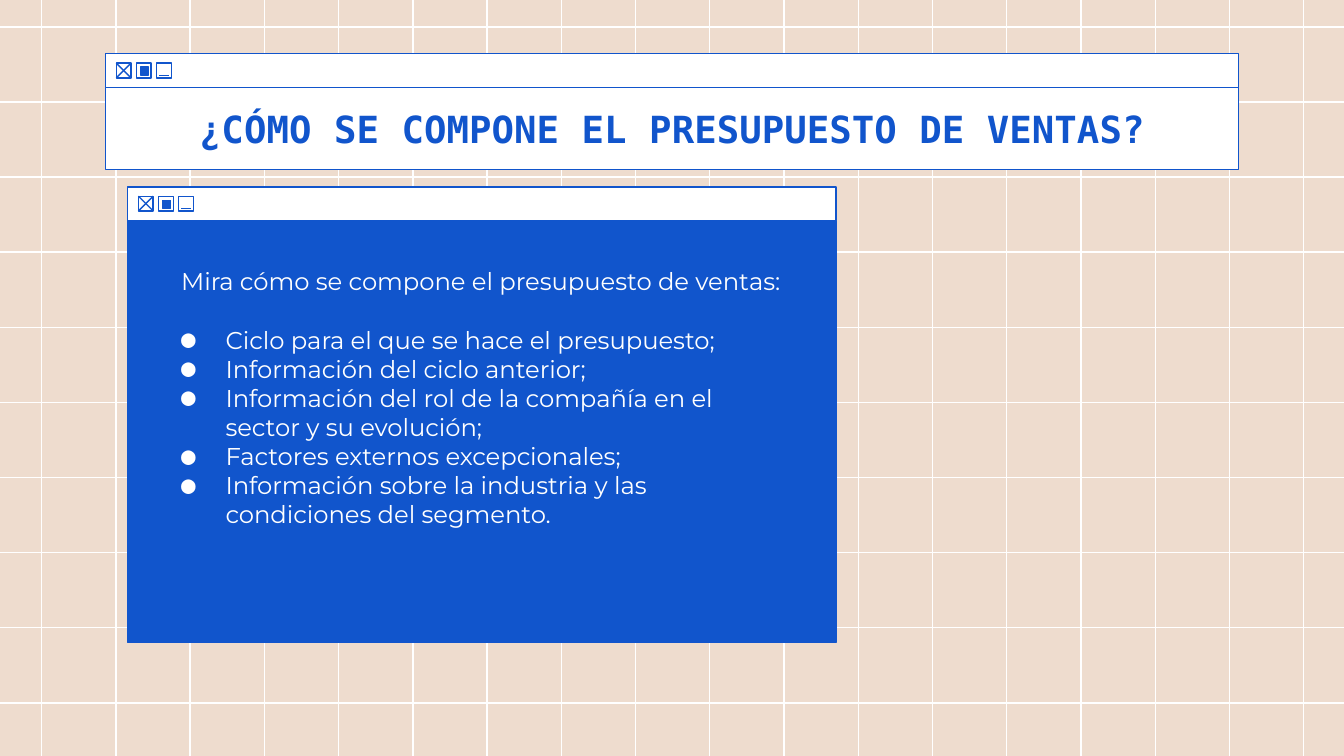
from dataclasses import dataclass

from lxml import etree
from pptx import Presentation
from pptx import util as u
from pptx.dml.color import RGBColor
from pptx.enum import shapes, text
from pptx.oxml.ns import qn


@dataclass(frozen=True)
class Theme:
    paper: RGBColor = RGBColor.from_string("EEDCCE")
    white: RGBColor = RGBColor.from_string("FFFFFF")
    blue: RGBColor = RGBColor.from_string("1155CC")
    title_font: str = "DejaVu Sans Mono"
    body_font: str = "Montserrat"
    bullet_font: str = "DejaVu Sans Mono"
    title_size: int = 20
    body_size: int = 13
    stroke: float = 0.75


THEME = Theme()
WIDTH = 10
HEIGHT = WIDTH * 9 / 16
BAR_HEIGHT = 0.25
TITLE = "¿CÓMO SE COMPONE EL PRESUPUESTO DE VENTAS?"
INTRO = "Mira cómo se compone el presupuesto de ventas:"
COMPONENTS = [
    "Ciclo para el que se hace el presupuesto;",
    "Información del ciclo anterior;",
    "Información del rol de la compañía en el sector y su evolución;",
    "Factores externos excepcionales;",
    "Información sobre la industria y las condiciones del segmento.",
]


def add_line(slide, x1, y1, x2, y2, color):
    line = slide.shapes.add_connector(
        shapes.MSO_CONNECTOR.STRAIGHT, *map(u.Inches, (x1, y1, x2, y2)))
    line.line.color.rgb = color
    line.line.width = u.Pt(THEME.stroke)
    etree.SubElement(line._element.spPr, qn("a:effectLst"))


def add_box(slide, left, top, width, height, fill=None):
    box = slide.shapes.add_shape(
        shapes.MSO_SHAPE.RECTANGLE, *map(u.Inches, (left, top, width, height)))
    box.shadow.inherit = False
    if fill is None:
        box.fill.background()
    else:
        box.fill.solid()
        box.fill.fore_color.rgb = fill
    box.line.color.rgb = THEME.blue
    box.line.width = u.Pt(THEME.stroke)
    return box


def set_margins(frame):
    frame.word_wrap = True
    frame.margin_left = frame.margin_right = u.Inches(0.1)
    frame.margin_top = frame.margin_bottom = u.Inches(0.1)


def style_run(paragraph, font, size, color, bold=False):
    for run in paragraph.runs:
        run.font.name = font
        run.font.size = u.Pt(size)
        run.font.color.rgb = color
        run.font.bold = bold


def draw_grid(slide, columns=18, rows=10):
    column_gap = (9.7 - 0.31) / (columns - 1)
    row_gap = (5.23 - 0.2) / (rows - 1)
    for column in range(columns):
        x = 0.31 + column * column_gap
        add_line(slide, x, 0, x, HEIGHT, THEME.white)
    for row in range(rows):
        y = 0.2 + row * row_gap
        add_line(slide, 0, y, WIDTH, y, THEME.white)


def draw_window_bar(slide, left, top, width):
    add_box(slide, left, top, width, BAR_HEIGHT, THEME.white)
    side, pitch = 0.11, 0.15
    close, y = left + 0.08, top + 0.07
    maximize, minimize = close + pitch, close + 2 * pitch
    for x in (close, maximize, minimize):
        add_box(slide, x, y, side, side)
    add_line(slide, close, y, close + side, y + side, THEME.blue)
    add_line(slide, close + side, y, close, y + side, THEME.blue)
    add_box(slide, maximize + 0.03, y + 0.03, 0.06, 0.06, THEME.blue)
    add_line(slide, minimize + 0.02, y + 0.09, minimize + 0.09, y + 0.09, THEME.blue)


def draw_title_window(slide, left, top, width, height):
    panel = add_box(slide, left, top + BAR_HEIGHT, width, height - BAR_HEIGHT, THEME.white)
    frame = panel.text_frame
    set_margins(frame)
    frame.vertical_anchor = text.MSO_ANCHOR.MIDDLE
    frame.text = TITLE
    heading = frame.paragraphs[0]
    heading.alignment = text.PP_ALIGN.CENTER
    style_run(heading, THEME.title_font, THEME.title_size, THEME.blue, bold=True)
    draw_window_bar(slide, left, top, width)


def indent(paragraph, margin, first_line=0):
    properties = paragraph._p.get_or_add_pPr()
    properties.set("marL", str(u.Inches(margin)))
    properties.set("indent", str(u.Inches(first_line)))
    return properties


def add_bullet(paragraph):
    properties = indent(paragraph, 0.5, -0.33)
    bullet_color = etree.SubElement(properties, qn("a:buClr"))
    etree.SubElement(bullet_color, qn("a:srgbClr"), val=str(THEME.white))
    etree.SubElement(properties, qn("a:buFont"), typeface=THEME.bullet_font)
    etree.SubElement(properties, qn("a:buChar"), char="●")


def draw_content_window(slide, left, top, width, height):
    add_box(slide, left, top + BAR_HEIGHT, width, height - BAR_HEIGHT, THEME.blue)
    draw_window_bar(slide, left, top, width)
    body = slide.shapes.add_textbox(
        u.Inches(left + 0.13), u.Inches(top + 0.49),
        u.Inches(width - 0.43), u.Inches(height - 0.61))
    frame = body.text_frame
    set_margins(frame)
    frame.text = "\n".join([INTRO, *COMPONENTS])
    intro, *components = frame.paragraphs
    indent(intro, 0.17)
    for component in components:
        add_bullet(component)
    components[0].space_before = u.Pt(15.8)
    for paragraph in frame.paragraphs:
        paragraph.alignment = text.PP_ALIGN.LEFT
        style_run(paragraph, THEME.body_font, THEME.body_size, THEME.white)


def main():
    deck = Presentation()
    deck.slide_width, deck.slide_height = u.Inches(WIDTH), u.Inches(HEIGHT)
    slide = deck.slides.add_slide(deck.slide_layouts[6])
    slide.background.fill.solid()
    slide.background.fill.fore_color.rgb = THEME.paper
    draw_grid(slide)
    draw_content_window(slide, 0.95, 1.39, 5.27, 3.39)
    title_width = 8.43
    draw_title_window(slide, (WIDTH - title_width) / 2, 0.4, title_width, 0.86)
    deck.save("out.pptx")


if __name__ == "__main__":
    main()
